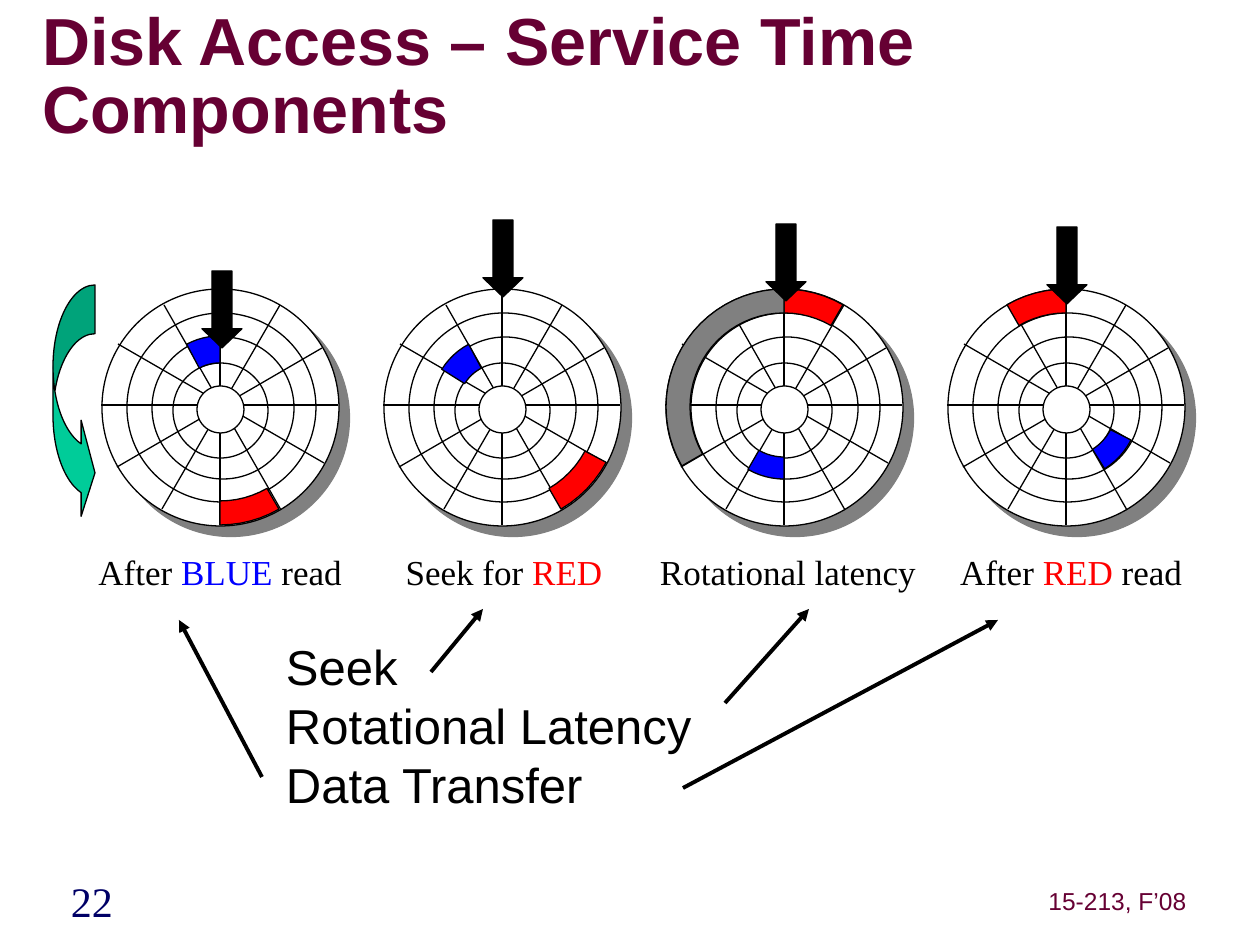
from math import cos, radians, sin
from typing import Any, NamedTuple

from lxml.etree import SubElement
from pptx import Presentation
from pptx.dml.color import RGBColor
from pptx.enum.shapes import MSO_CONNECTOR as Connector, MSO_SHAPE as Preset
from pptx.enum.text import MSO_ANCHOR as Anchor, MSO_AUTO_SIZE as AutoSize, PP_ALIGN as Align
from pptx.oxml.ns import qn
from pptx.util import Pt

EMU_PER_PX = 914400 / 126
BLACK, WHITE, GREY = "000000", "FFFFFF", "808080"
BLUE, RED, GREEN, MAROON, NAVY = "0000FF", "FF0000", "00CC99", "660033", "000066"
SERIF, SANS = "Times New Roman", "Arial"

DISK_TOP, DISK_LEFT, DISK_PITCH, DISK_RADIUS = 289, 102, 282, 118
RINGS = [(0, 0, 237), (25, 24, 189), (50, 48, 142), (71, 74, 95)]
HUB = (95, 97, 47)
SPOKES = [
    (118, 0, 118, 236), (178, 16, 60, 220), (220, 59, 15, 178),
    (236, 116, -1, 116), (222, 174, 16, 55), (179, 221, 62, 16),
]


class Sector(NamedTuple):
    color: str
    inner: int
    outer: int
    start: int
    end: int


class Run(NamedTuple):
    text: str
    color: str = BLACK


class Disk(NamedTuple):
    sectors: list[Sector]
    head_left: int
    head_top: int
    caption: list[Run]
    caption_left: int
    caption_width: int


class Pointer(NamedTuple):
    x1: int
    y1: int
    x2: int
    y2: int


DISKS = [
    Disk([Sector(BLUE, 44, 71, 90, 118), Sector(RED, 94, 118, 270, 300)],
         202, 271, [Run("After "), Run("BLUE ", BLUE), Run("read")], 73, 294),
    Disk([Sector(RED, 94, 118, 300, 332), Sector(BLUE, 44, 71, 118, 148)],
         483, 220, [Run("Seek for "), Run("RED", RED)], 378, 252),
    Disk([Sector(RED, 94, 118, 60, 90), Sector(BLUE, 50, 72, 240, 270),
          Sector(GREY, 94, 118, 90, 210)],
         766, 224, [Run("Rotational latency")], 620, 336),
    Disk([Sector(RED, 94, 118, 90, 120), Sector(BLUE, 50, 73, 302, 333)],
         1047, 227, [Run("After "), Run("RED", RED), Run(" read")], 924, 294),
]
POINTERS = [
    Pointer(431, 672, 483, 609), Pointer(725, 703, 809, 609),
    Pointer(683, 788, 998, 620), Pointer(262, 777, 179, 620),
]


def px(length: float) -> int:
    return round(length * EMU_PER_PX)


def rgb(color: str) -> RGBColor:
    return RGBColor.from_string(color)


def apply_format(target: Any, values: dict[str, Any]) -> None:
    for attribute, value in values.items():
        setattr(target, attribute, value)


def place(shape: Any, left: int, top: int, width: int, height: int) -> None:
    apply_format(shape, {"left": px(left), "top": px(top),
                         "width": px(width), "height": px(height)})


def set_frame(frame: Any, anchor: Any, inset_x: int, inset_y: int, wrap: bool = True) -> None:
    apply_format(frame, {
        "auto_size": AutoSize.NONE, "word_wrap": wrap, "vertical_anchor": anchor,
        "margin_left": px(inset_x), "margin_right": px(inset_x),
        "margin_top": px(inset_y), "margin_bottom": px(inset_y),
    })


def write_runs(paragraph: Any, runs: list[Run], face: str, size: int, bold: bool = False) -> None:
    for part in runs:
        run = paragraph.add_run()
        run.text = part.text
        apply_format(run.font, {"name": face, "size": Pt(size), "bold": bold})
        run.font.color.rgb = rgb(part.color)


def add_label(shapes: Any, box: tuple[int, int, int, int], runs: list[Run], face: str,
              size: int, anchor: Any, inset_x: int, wrap: bool) -> None:
    label = shapes.add_textbox(*map(px, box))
    set_frame(label.text_frame, anchor, inset_x, 6, wrap)
    paragraph = label.text_frame.paragraphs[0]
    paragraph.alignment = Align.CENTER
    write_runs(paragraph, runs, face, size)


def style_shape(shape: Any, color: str) -> None:
    shape.shadow.inherit = False
    shape.fill.solid()
    shape.fill.fore_color.rgb = rgb(color)
    shape.line.color.rgb = rgb(BLACK)
    shape.line.width = Pt(0.75)


def add_preset(shapes: Any, preset: Any, box: tuple[int, int, int, int], color: str,
               adjustments: tuple[float, ...] = ()) -> Any:
    shape = shapes.add_shape(preset, *map(px, box))
    style_shape(shape, color)
    for index, value in enumerate(adjustments):
        shape.adjustments[index] = value
    return shape


def add_line(shapes: Any, ends: tuple[int, int, int, int], weight: float,
             arrow: bool = False) -> None:
    line = shapes.add_connector(Connector.STRAIGHT, *map(px, ends))
    line.line.color.rgb = rgb(BLACK)
    line.line.width = Pt(weight)
    if arrow:
        SubElement(line.line._get_or_add_ln(), qn("a:tailEnd"), type="triangle")
    SubElement(line._element.spPr, qn("a:effectLst"))


def add_drop_shadow(shape: Any, color: str) -> None:
    effects = shape._element.spPr.find(qn("a:effectLst"))
    shadow = SubElement(effects, qn("a:outerShdw"), dist=str(Pt(8.5)), dir="2700000",
                        algn="ctr", rotWithShape="0")
    SubElement(shadow, qn("a:srgbClr"), val=color)


def add_sector(shapes: Any, center_x: int, center_y: int, sector: Sector) -> None:
    steps = max(6, (sector.end - sector.start) // 5)
    angles = [radians(sector.start + (sector.end - sector.start) * i / steps)
              for i in range(steps + 1)]
    rim = [(sector.outer, angle) for angle in angles]
    rim += [(sector.inner, angle) for angle in reversed(angles)]
    points = [(px(center_x + r * cos(a)), px(center_y - r * sin(a))) for r, a in rim]
    outline = shapes.build_freeform(*points[0])
    outline.add_line_segments(points[1:], close=True)
    style_shape(outline.convert_to_shape(), sector.color)


def add_disk(shapes: Any, left: int, disk: Disk) -> None:
    parts = shapes.add_group_shape().shapes
    for index, (dx, dy, size) in enumerate(RINGS):
        ring = add_preset(parts, Preset.OVAL, (left + dx, DISK_TOP + dy, size, size), WHITE)
        if index == 0:
            add_drop_shadow(ring, GREY)
    for x1, y1, x2, y2 in SPOKES:
        add_line(parts, (left + x1, DISK_TOP + y1, left + x2, DISK_TOP + y2), 0.75)
    dx, dy, size = HUB
    add_preset(parts, Preset.OVAL, (left + dx, DISK_TOP + dy, size, size), WHITE)
    for sector in disk.sectors:
        add_sector(parts, left + DISK_RADIUS, DISK_TOP + DISK_RADIUS, sector)
    add_preset(parts, Preset.DOWN_ARROW, (disk.head_left, disk.head_top, 40, 77), BLACK,
               (0.5, 0.48))


def main() -> None:
    deck = Presentation()
    apply_format(deck, {"slide_width": px(1260), "slide_height": px(945)})
    slide = deck.slides.add_slide(deck.slide_layouts[1])
    shapes = slide.shapes
    title, components = slide.placeholders

    place(title, 42, 21, 1166, 116)
    set_frame(title.text_frame, Anchor.MIDDLE, 0, 0)
    heading = title.text_frame.paragraphs[0]
    apply_format(heading, {"alignment": Align.LEFT, "line_spacing": 0.85})
    write_runs(heading, [Run("Disk Access – Service Time Components", MAROON)], SANS, 38, True)

    place(components, 273, 620, 441, 199)
    frame = components.text_frame
    set_frame(frame, Anchor.BOTTOM, 13, 6)
    for index, name in enumerate(["Seek", "Rotational Latency", "Data Transfer"]):
        item = frame.add_paragraph() if index else frame.paragraphs[0]
        apply_format(item, {"alignment": Align.LEFT, "space_before": Pt(0)})
        properties = item._p.get_or_add_pPr()
        properties.set("marL", "0")
        properties.set("indent", "0")
        SubElement(properties, qn("a:buNone"))
        write_runs(item, [Run(name)], SANS, 28)

    for index, disk in enumerate(DISKS):
        add_disk(shapes, DISK_LEFT + index * DISK_PITCH, disk)
        add_label(shapes, (disk.caption_left, 544, disk.caption_width, 55), disk.caption,
                  SERIF, 20, Anchor.TOP, 13, True)
    add_preset(shapes, Preset.CURVED_RIGHT_ARROW, (53, 285, 42, 236), GREEN,
               (1.16, 2.29, 0.33))
    for pointer in POINTERS:
        add_line(shapes, pointer, 2.25, arrow=True)

    add_label(shapes, (-2, 874, 188, 54), [Run("22", NAVY)], SERIF, 24, Anchor.MIDDLE, 6, False)
    add_label(shapes, (1042, 881, 151, 39), [Run("15-213, F’08", MAROON)], SANS, 14,
              Anchor.MIDDLE, 6, False)
    deck.save("out.pptx")


if __name__ == "__main__":
    main()
